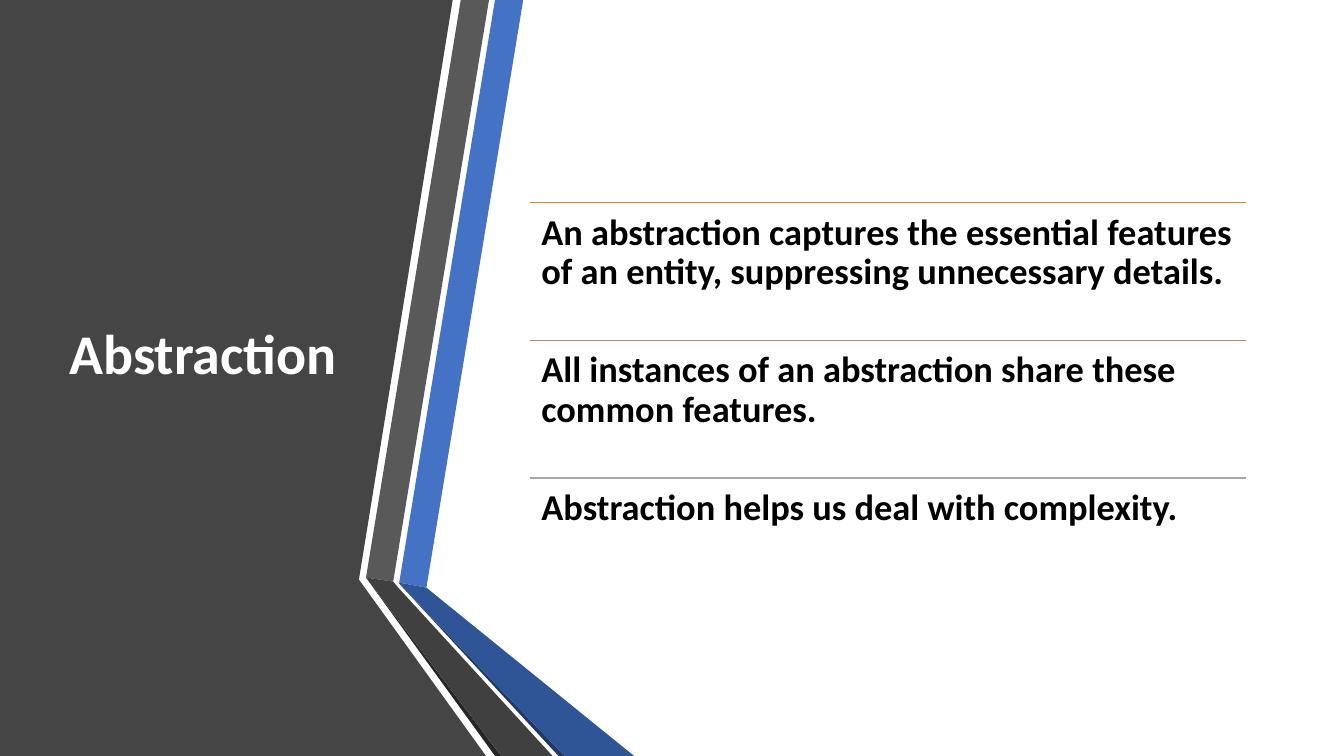
from lxml import etree
from pptx import Presentation
from pptx.dml.color import RGBColor
from pptx.enum.shapes import MSO_CONNECTOR
from pptx.enum.text import MSO_ANCHOR, MSO_AUTO_SIZE, PP_ALIGN
from pptx.oxml.ns import qn
from pptx.util import Inches, Pt

LINE = MSO_CONNECTOR.STRAIGHT
MIDDLE, TOP = MSO_ANCHOR.MIDDLE, MSO_ANCHOR.TOP
NO_FIT = MSO_AUTO_SIZE.NONE
LEFT = PP_ALIGN.LEFT

FONT = "Calibri"
WHITE = RGBColor(0xFF, 0xFF, 0xFF)
BLACK = RGBColor(0x00, 0x00, 0x00)
PANEL = RGBColor(0x45, 0x45, 0x45)
BLUE = RGBColor(0x44, 0x72, 0xC4)
GRAY = RGBColor(0x59, 0x59, 0x59)
INK = RGBColor(0x26, 0x26, 0x26)
NAVY = RGBColor(0x20, 0x38, 0x64)
DEEP = RGBColor(0x2F, 0x55, 0x97)
COAL = RGBColor(0x40, 0x40, 0x40)
ORANGE = RGBColor(0xED, 0x7D, 0x31)
ROSE = RGBColor(0xC4, 0x81, 0x70)
SILVER = RGBColor(0xA5, 0xA5, 0xA5)

BANDS = [
    (PANEL, [(0, 0), (4.49, 0), (3.56, 5.75), (4.82, 7.5), (0, 7.5)]),
    (BLUE, [(3.96, 5.78), (4.23, 5.83), (5.19, 0), (4.91, 0)]),
    (GRAY, [(4.85, 0), (4.57, 0), (3.63, 5.73), (3.9, 5.77)]),
    (INK, [(3.63, 5.73), (4.91, 7.5), (4.97, 7.5)]),
    (NAVY, [(3.96, 5.79), (5.54, 7.5), (5.6, 7.5)]),
    (DEEP, [(3.96, 5.79), (5.6, 7.5), (6.29, 7.5), (4.23, 5.83), (3.96, 5.78)]),
    (COAL, [(5.48, 7.5), (3.95, 5.83), (3.9, 5.77), (3.63, 5.73), (4.97, 7.5)]),
]
POINTS = [
    (ORANGE, "An abstraction captures the essential features of an entity, "
             "suppressing unnecessary details."),
    (ROSE, "All instances of an abstraction share these common features."),
    (SILVER, "Abstraction helps us deal with complexity."),
]


def write(frame, text, size, color, anchor):
    """Fill a text frame with one bold run."""
    frame.word_wrap = True
    frame.auto_size = NO_FIT
    frame.vertical_anchor = anchor
    para = frame.paragraphs[0]
    para.alignment = LEFT
    para.line_spacing = 0.9
    run = para.add_run()
    run.text = text
    font = run.font
    font.name, font.size, font.bold = FONT, Pt(size), True
    font.color.rgb = color


def draw_bands(slide, left, top):
    """Draw the side panel and its folded ribbons from a top left corner."""
    for color, spots in BANDS:
        spots = [(Inches(left + x), Inches(top + y)) for x, y in spots]
        pen = slide.shapes.build_freeform(*spots[0])
        pen.add_line_segments(spots[1:], close=True)
        band = pen.convert_to_shape()
        band.shadow.inherit = False
        band.fill.solid()
        band.fill.fore_color.rgb = color
        band.line.fill.background()


def set_title(slide, left, top, width, height):
    """Place and write the title in the given box."""
    title = slide.shapes.title
    title.left, title.top = Inches(left), Inches(top)
    title.width, title.height = Inches(width), Inches(height)
    write(title.text_frame, "Abstraction", 40, WHITE, MIDDLE)


def add_points(slide, left, top, width, height):
    """Stack the ruled statements in equal rows of the given box."""
    row = height / len(POINTS)
    for i, (color, text) in enumerate(POINTS):
        x, y, w = Inches(left), Inches(top + i * row), Inches(width)
        rule = slide.shapes.add_connector(LINE, x, y, x + w, y)
        rule.line.color.rgb = color
        rule.line.width = Pt(1)
        etree.SubElement(rule._element.spPr, qn("a:effectLst"))
        frame = slide.shapes.add_textbox(x, y, w, Inches(row)).text_frame
        frame.margin_left = frame.margin_right = Inches(0.11)
        frame.margin_top = frame.margin_bottom = Inches(0.11)
        write(frame, text, 26, BLACK, TOP)


def main():
    """Build and save the slide."""
    deck = Presentation()
    deck.slide_width, deck.slide_height = Inches(13.33), Inches(7.5)
    slide = deck.slides.add_slide(deck.slide_layouts[5])
    slide.background.fill.solid()
    slide.background.fill.fore_color.rgb = WHITE
    draw_bands(slide, 0, 0)
    set_title(slide, 0.59, 0.75, 3.04, 5.58)
    tree = slide.shapes._spTree
    tree.append(slide.shapes.title._element)
    add_points(slide, 5.26, 2.01, 7.1, 4.1)
    deck.save("out.pptx")


if __name__ == "__main__":
    main()
